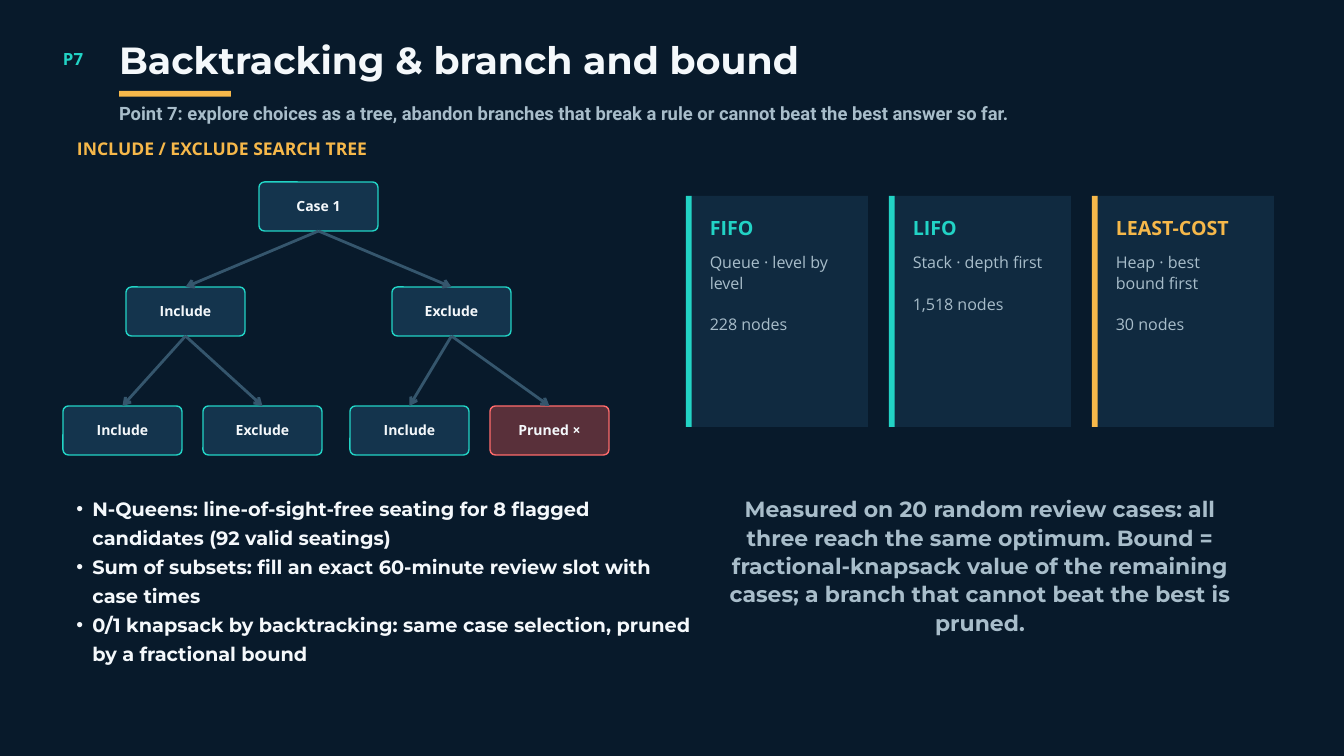
from lxml.etree import SubElement
from pptx import Presentation
from pptx.dml.color import RGBColor
from pptx.enum.shapes import MSO_CONNECTOR as Connector, MSO_SHAPE as Shape
from pptx.enum.text import MSO_ANCHOR as Anchor, MSO_AUTO_SIZE as Fit, PP_ALIGN as Align
from pptx.oxml.ns import qn
from pptx.util import Inches, Pt

COLUMNS, ROWS = 192, 108
WIDTH, HEIGHT = Inches(20), Inches(11.25)
NAVY, PANEL, NODE, EDGE = "081A2B", "102A40", "14344D", "35566D"
TEAL, AMBER, WHITE, MUTED = "22D3C5", "F6B84A", "F4F8FB", "A8BDCA"
MAROON, RED = "59303A", "FF6B6B"

NODE_WIDTH, NODE_HEIGHT = 17, 7
TREE = [
    ("Case 1", 37, 26, None),
    ("Include", 18, 41, 0),
    ("Exclude", 56, 41, 0),
    ("Include", 9, 58, 1),
    ("Exclude", 29, 58, 1),
    ("Include", 50, 58, 2),
    ("Pruned ×", 70, 58, 2),
]
CARDS = [
    ("FIFO", ["Queue · level by level", "228 nodes"], TEAL),
    ("LIFO", ["Stack · depth first", "1,518 nodes"], TEAL),
    ("LEAST-COST", ["Heap · best bound first", "30 nodes"], AMBER),
]
CARD_LEFT, CARD_TOP, CARD_WIDTH, CARD_HEIGHT, CARD_STEP = 98, 28, 26, 33, 29
PROBLEMS = [
    "N-Queens: line-of-sight-free seating for 8 flagged candidates (92 valid seatings)",
    "Sum of subsets: fill an exact 60-minute review slot with case times",
    "0/1 knapsack by backtracking: same case selection, pruned by a fractional bound",
]


def color(value):
    return RGBColor.from_string(value)


def cells(column, row, width, height):
    across, down = WIDTH / COLUMNS, HEIGHT / ROWS
    return [round(part) for part in (column * across, row * down, width * across, height * down)]


def add_bullet(para):
    para.level = 1
    props = para._p.get_or_add_pPr()
    props.set("marL", str(Inches(0.49)))
    props.set("indent", str(Inches(-0.24)))
    SubElement(props, qn("a:buFont")).set("typeface", "Arial")
    SubElement(props, qn("a:buChar")).set("char", "•")


def write(box, lines, size, leading, fill=WHITE, font="Open Sans", bold=True,
          align=Align.LEFT, anchor=Anchor.TOP, inset=0, gap=0, bullets=False):
    frame = box.text_frame
    frame.word_wrap = True
    frame.auto_size = Fit.NONE
    frame.vertical_anchor = anchor
    frame.margin_left = frame.margin_right = Inches(inset)
    frame.margin_top = frame.margin_bottom = Inches(inset)
    for index, line in enumerate(lines):
        para = frame.add_paragraph() if index else frame.paragraphs[0]
        para.alignment = align
        para.line_spacing = Pt(leading)
        para.space_before = Pt(gap if index else 0)
        if bullets:
            add_bullet(para)
        span = para.add_run()
        span.text = line
        span.font.name = font
        span.font.size = Pt(size)
        span.font.bold = bold
        span.font.color.rgb = color(fill)


def add_text(page, place, lines, size, leading, **style):
    write(page.shapes.add_textbox(*cells(*place)), lines, size, leading, **style)


def add_block(page, place, fill, outline=None, kind=Shape.RECTANGLE):
    block = page.shapes.add_shape(kind, *cells(*place))
    block.shadow.inherit = False
    block.fill.solid()
    block.fill.fore_color.rgb = color(fill)
    if outline:
        block.line.color.rgb = color(outline)
        block.line.width = Pt(1.5)
    else:
        block.line.fill.background()
    return block


def add_node(page, label, column, row):
    fill, outline = (MAROON, RED) if label.startswith("Pruned") else (NODE, TEAL)
    node = add_block(page, (column, row, NODE_WIDTH, NODE_HEIGHT), fill, outline,
                     Shape.ROUNDED_RECTANGLE)
    node.adjustments[0] = 0.11
    write(node, [label], 15, 17.2, align=Align.CENTER, anchor=Anchor.MIDDLE, inset=0.06)
    return node


def add_branch(page, parent, child):
    branch = page.shapes.add_connector(Connector.STRAIGHT, 0, 0, 0, 0)
    branch.begin_connect(parent, 2)
    branch.end_connect(child, 0)
    branch.line.color.rgb = color(EDGE)
    branch.line.width = Pt(3)
    SubElement(branch.line._get_or_add_ln(), qn("a:tailEnd")).set("type", "arrow")
    SubElement(branch._element.spPr, qn("a:effectLst"))


def add_tree(page):
    nodes = [add_node(page, label, column, row) for label, column, row, _ in TREE]
    for node, (*_, parent) in zip(nodes, TREE):
        if parent is not None:
            add_branch(page, nodes[parent], node)


def add_card(page, index, heading, lines, accent):
    left = CARD_LEFT + index * CARD_STEP
    add_block(page, (left, CARD_TOP, CARD_WIDTH, CARD_HEIGHT), PANEL)
    add_block(page, (left, CARD_TOP, 0.8, CARD_HEIGHT), accent)
    add_text(page, (left + 3.4, CARD_TOP + 2.6, 19.6, 3.5), [heading], 21, 27.3, fill=accent)
    add_text(page, (left + 3.4, CARD_TOP + 7.8, 19.6, 11.4), lines, 17.2, 22.4,
             fill=MUTED, bold=False, gap=22.4)


def add_header(page):
    title = page.shapes.title
    title.left, title.top, title.width, title.height = cells(17, 6.1, 160, 5.7)
    write(title, ["Backtracking & branch and bound"], 40.5, 42.5, font="Montserrat")
    add_text(page, (9, 6.7, 7, 3), ["P7"], 18, 23.4, fill=TEAL)
    add_block(page, (17, 13, 16, 0.8), AMBER)
    add_text(page, (17, 14.6, 160, 3.2),
             ["Point 7: explore choices as a tree, abandon branches that break a rule "
              "or cannot beat the best answer so far."],
             19.7, 23.7, fill=MUTED, font="Roboto")


def main():
    deck = Presentation()
    deck.slide_width, deck.slide_height = WIDTH, HEIGHT
    page = deck.slides.add_slide(deck.slide_layouts[5])
    page.background.fill.solid()
    page.background.fill.fore_color.rgb = color(NAVY)
    add_header(page)
    add_text(page, (11, 19.4, 49.5, 3.2), ["INCLUDE / EXCLUDE SEARCH TREE"], 18.8, 24.4,
             fill=AMBER)
    add_tree(page)
    for index, card in enumerate(CARDS):
        add_card(page, index, *card)
    add_text(page, (102, 70.5, 76, 16),
             ["Measured on 20 random review cases: all three reach the same optimum. "
              "Bound = fractional-knapsack value of the remaining cases; "
              "a branch that cannot beat the best is pruned."],
             23.5, 30.5, fill=MUTED, font="Montserrat", align=Align.CENTER)
    add_text(page, (8.5, 70.2, 90.9, 24.4), PROBLEMS, 20.7, 31.1, font="Montserrat",
             bullets=True)
    deck.save("out.pptx")


if __name__ == "__main__":
    main()
